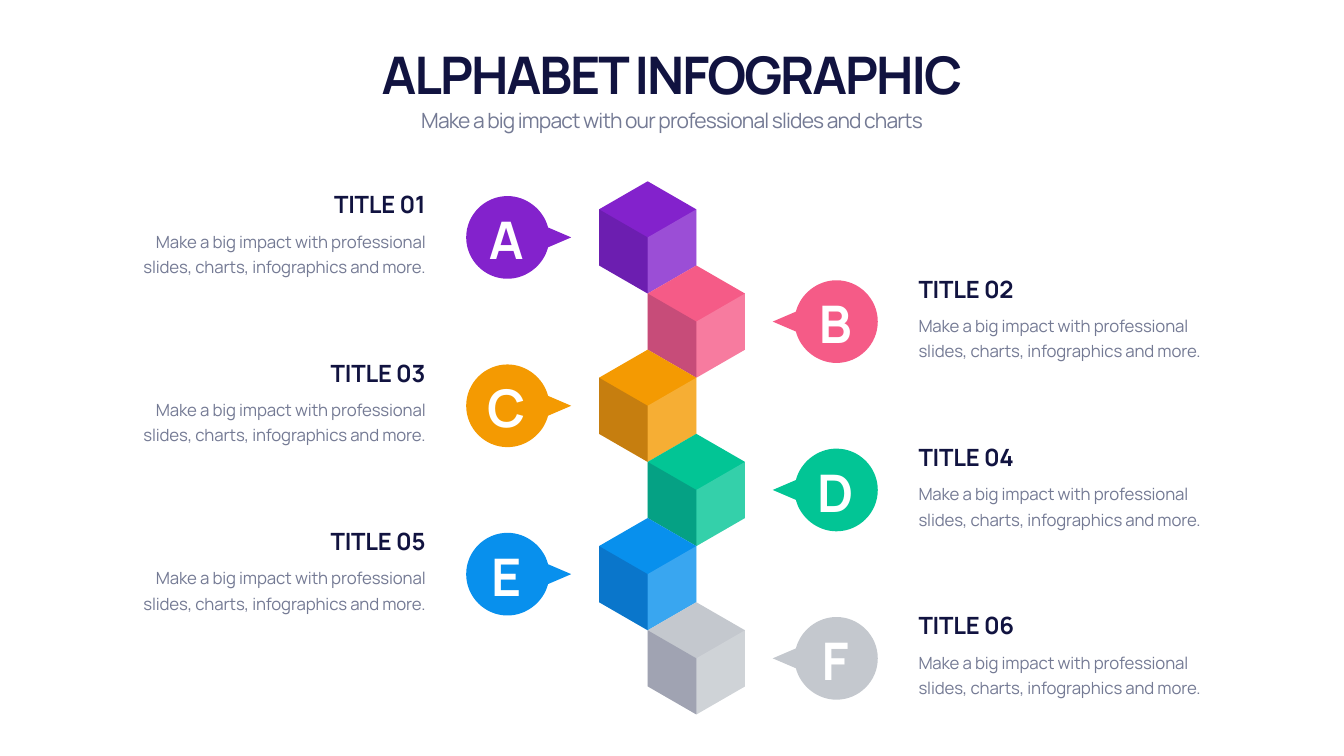
"""Build the alphabet infographic: a zigzag of cubes with lettered callouts."""
from lxml import etree
from pptx import Presentation
from pptx import util as u
from pptx.dml.color import RGBColor
from pptx.enum import text
from pptx.oxml.ns import qn

HEADING = "ALPHABET INFOGRAPHIC"
SUBHEADING = "Make a big impact with our professional slides and charts"
BODY = "Make a big impact with professional slides, charts, infographics and more."
ITEMS = [
    ("A", "TITLE 01", "8322CC"),
    ("B", "TITLE 02", "F55B87"),
    ("C", "TITLE 03", "F49A02"),
    ("D", "TITLE 04", "02C595"),
    ("E", "TITLE 05", "0890ED"),
    ("F", "TITLE 06", "C4C8CE"),
]
THEME = {
    "font": "Manrope",
    "light": "FFFFFF",
    "shade": "121143",
    "face_opacity": 20,
    "heading": {"size": 74, "color": "111340", "bold": True, "spacing": -2.9, "leading": 94},
    "subheading": {"size": 30, "color": "747A94", "bold": False, "spacing": -1.2, "leading": 42},
    "title": {"size": 34, "color": "111340", "bold": True, "spacing": -0.3, "leading": None},
    "body": {"size": 24, "color": "747A94", "bold": False, "spacing": -0.2, "leading": 36},
    "letter": {"size": 74, "color": "FFFFFF", "bold": True, "spacing": -2.9, "leading": None},
}

WIDTH, HEIGHT = 26.66, 15
COLUMN, ROW = WIDTH / 55.25, HEIGHT / 26.94
MIDDLE = WIDTH / 2
FIRST_CENTER, STEP = 8.46, 3
BUBBLE_OFFSET, BUBBLE_RADIUS = 6.76, 1.7
TEXT_OFFSET, TEXT_WIDTH = 9.93, 13.37
LETTER_WIDTH, LETTER_SHIFT = 2.76, -0.05

TIP = (1.54, 0)
UPPER_ARC = [(0.98, -0.24), (0.87, -0.67), (0.46, -1), (0, -1), (-0.55, -1), (-1, -0.55)]
BUBBLE = [TIP] + UPPER_ARC + [(-1, 0)] + [(x, -y) for x, y in reversed(UPPER_ARC)]

ALIGN, ANCHOR = text.PP_ALIGN, text.MSO_ANCHOR


def add_outline(shapes, points, color, opacity=100):
    """Draw a closed, unlined shape through points given in inches."""
    corners = [(u.Inches(x), u.Inches(y)) for x, y in points]
    builder = shapes.build_freeform(*corners[0])
    builder.add_line_segments(corners[1:], close=True)
    shape = builder.convert_to_shape()
    shape.shadow.inherit = False
    shape.fill.solid()
    shape.fill.fore_color.rgb = RGBColor.from_string(color)
    shape.line.fill.background()
    if opacity < 100:
        tint = shape._element.spPr.find(".//" + qn("a:srgbClr"))
        etree.SubElement(tint, qn("a:alpha")).set("val", str(opacity * 1000))
    return shape


def curve_after_first_line(shape):
    """Turn every three lines after the first into one Bezier curve."""
    lines = shape._element.spPr.findall(".//" + qn("a:lnTo"))[1:]
    for start in range(0, len(lines), 3):
        trio = lines[start:start + 3]
        curve = etree.Element(qn("a:cubicBezTo"))
        trio[0].addprevious(curve)
        for line in trio:
            curve.append(line[0])
            line.getparent().remove(line)


def add_text(page, words, style, area, align, anchor=ANCHOR.TOP):
    """Add a text box in one of the theme's styles."""
    look = THEME[style]
    box = page.shapes.add_textbox(*(u.Inches(length) for length in area))
    frame = box.text_frame
    frame_format = {
        "word_wrap": True,
        "auto_size": text.MSO_AUTO_SIZE.SHAPE_TO_FIT_TEXT,
        "vertical_anchor": anchor,
    }
    for name, value in frame_format.items():
        setattr(frame, name, value)
    para = frame.paragraphs[0]
    para.alignment = align
    if look["leading"]:
        para.line_spacing = u.Pt(look["leading"])
    span = para.add_run()
    span.text = words
    font_format = {"name": THEME["font"], "size": u.Pt(look["size"]), "bold": look["bold"]}
    for name, value in font_format.items():
        setattr(span.font, name, value)
    span.font.color.rgb = RGBColor.from_string(look["color"])
    span._r.get_or_add_rPr().set("spc", str(round(look["spacing"] * 100)))


def add_cube(page, x, y, color):
    """Draw a hexagon with a light right face and a dark left face."""
    def corners(*places):
        return [(x + across * COLUMN, y + down * ROW) for across, down in places]

    group = page.shapes.add_group_shape().shapes
    add_outline(group, corners((0, -2), (-2, -1), (-2, 1), (0, 2), (2, 1), (2, -1)), color)
    for side, tint in ((2, THEME["light"]), (-2, THEME["shade"])):
        face = corners((side, -1), (side, 1), (0, 2), (0, 0))
        add_outline(group, face, tint, THEME["face_opacity"])


def add_bubble(page, x, y, side, color):
    """Draw a round callout whose tail points to the cubes."""
    radius = BUBBLE_RADIUS * COLUMN
    points = [(x - side * radius * across, y + radius * down) for across, down in BUBBLE]
    curve_after_first_line(add_outline(page.shapes, points, color))


def add_item(page, index, letter, title, color):
    """Place a cube, its callout and its wording on alternating sides."""
    side = 1 if index % 2 else -1
    y = (FIRST_CENTER + index * STEP) * ROW
    bubble_x = MIDDLE + side * BUBBLE_OFFSET * COLUMN
    add_cube(page, MIDDLE + side * COLUMN, y, color)
    add_bubble(page, bubble_x, y, side, color)

    letter_left = bubble_x + (LETTER_SHIFT - LETTER_WIDTH / 2) * COLUMN
    letter_area = (letter_left, y - 1.16 * ROW, LETTER_WIDTH * COLUMN, 2.42 * ROW)
    add_text(page, letter, "letter", letter_area, ALIGN.CENTER, ANCHOR.MIDDLE)

    width = TEXT_WIDTH * COLUMN
    left = MIDDLE + side * TEXT_OFFSET * COLUMN - (width if side < 0 else 0)
    align = ALIGN.RIGHT if side < 0 else ALIGN.LEFT
    add_text(page, title, "title", (left, y - 1.78 * ROW, width, 1.2 * ROW), align, ANCHOR.BOTTOM)
    add_text(page, BODY, "body", (left, y - 0.48 * ROW, width, 1.94 * ROW), align)


def main():
    """Create the deck and save it."""
    deck = Presentation()
    deck.slide_width, deck.slide_height = u.Inches(WIDTH), u.Inches(HEIGHT)
    page = deck.slides.add_slide(deck.slide_layouts[6])
    left, width = WIDTH / 16, WIDTH * 7 / 8
    add_text(page, HEADING, "heading", (left, 1.36 * ROW, width, 2.48 * ROW),
             ALIGN.CENTER, ANCHOR.BOTTOM)
    add_text(page, SUBHEADING, "subheading", (left, 3.6 * ROW, width, 1.18 * ROW), ALIGN.CENTER)
    for index, item in enumerate(ITEMS):
        add_item(page, index, *item)
    deck.save("out.pptx")


if __name__ == "__main__":
    main()
